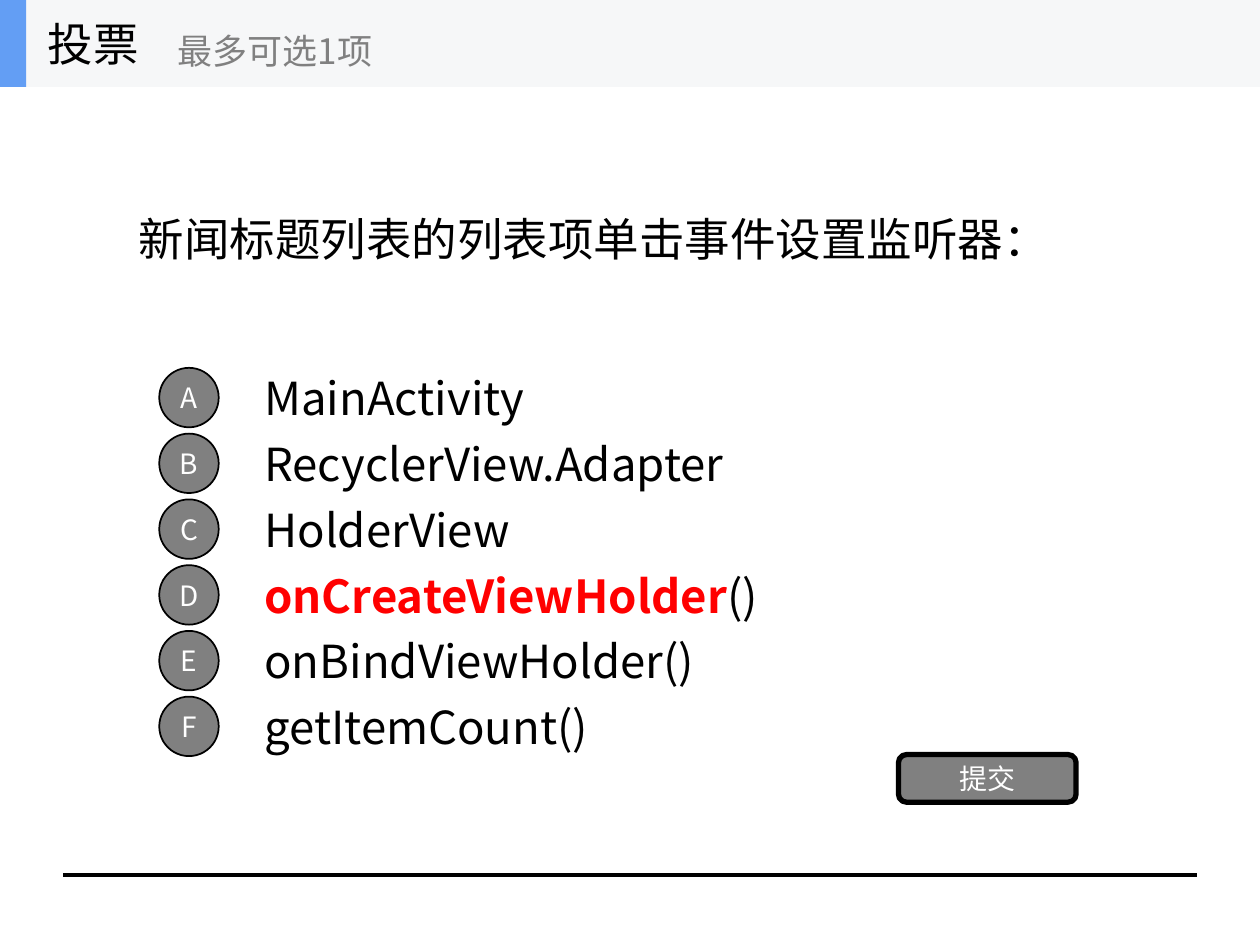
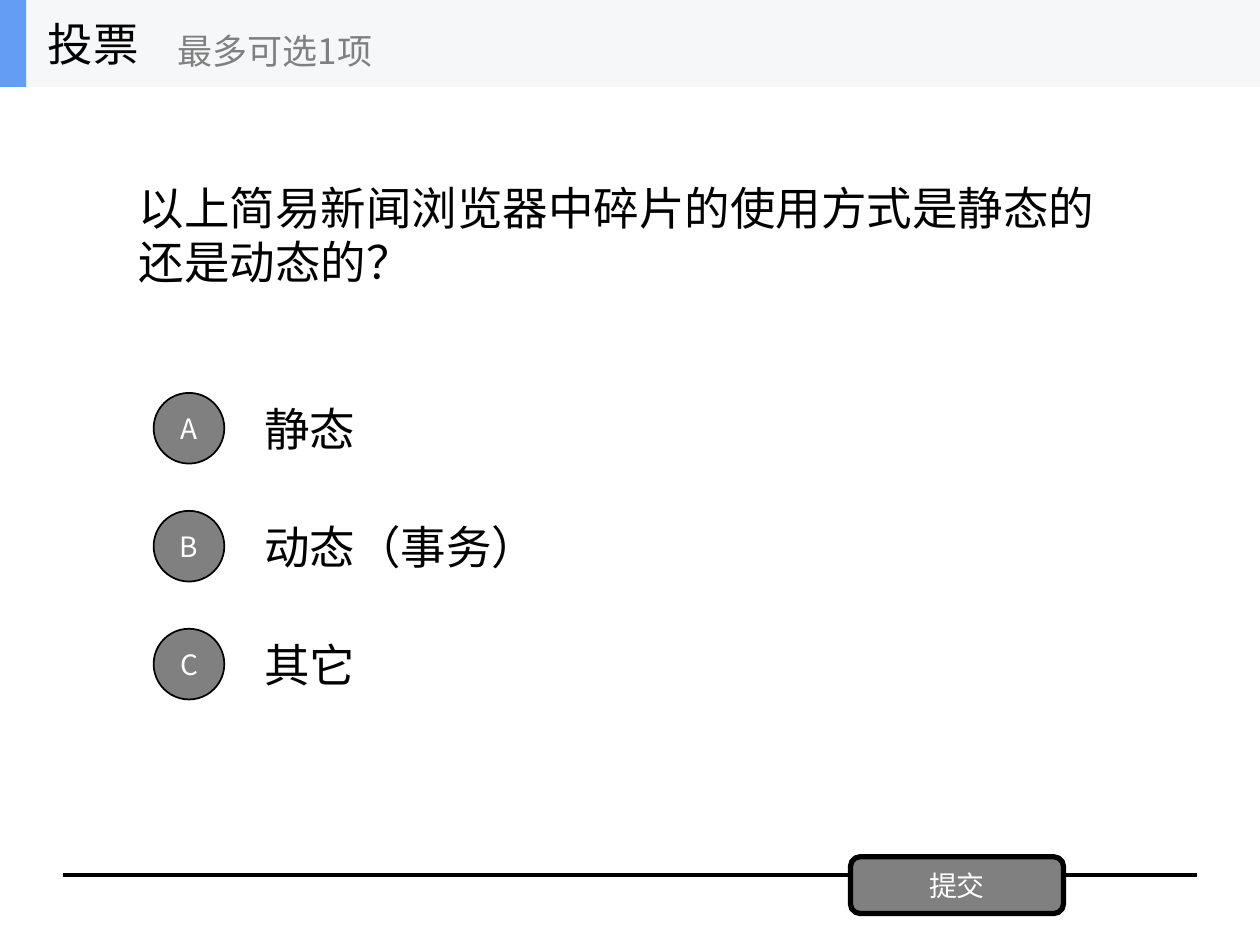
from dataclasses import dataclass

import pptx
import pptx.dml.color
import pptx.enum.shapes
import pptx.enum.text
import pptx.oxml
import pptx.oxml.ns
import pptx.util
from lxml import etree

Pt = pptx.util.Pt
SHAPE = pptx.enum.shapes.MSO_SHAPE
ALIGN = pptx.enum.text.PP_ALIGN
TITLE_ONLY_LAYOUT = 5


@dataclass(frozen=True)
class Theme:
    font: str = "Noto Sans CJK SC"
    ink: str = "000000"
    paper: str = "FFFFFF"
    grey: str = "808080"
    band: str = "F6F7F8"
    accent: str = "639EF4"
    answer: str = "FF0000"
    main_size: int = 26
    hint_size: int = 20
    label_size: int = 16


THEME = Theme()
SLIDE_WIDTH, SLIDE_HEIGHT = 720, 540
BAND_HEIGHT = 49.7
BADGE_CENTRE = 108

POLLS = [
    {
        "question": "新闻标题列表的列表项单击事件设置监听器：",
        "question_at": (72, 95, 576, 82.8),
        "options": [
            [("MainActivity", {})],
            [("RecyclerView.Adapter", {})],
            [("HolderView", {})],
            [("onCreateViewHolder", {"color": THEME.answer, "bold": True}), ("()", {})],
            [("onBindViewHolder()", {})],
            [("getItemCount()", {})],
        ],
        "first_top": 206, "pitch": 37.58, "row_height": 42.4, "badge": 34,
        "button_at": (513.4, 431.2, 101.5, 27.2),
    },
    {
        "question": "以上简易新闻浏览器中碎片的使用方式是静态的还是动态的？",
        "question_at": (72, 49.7, 576, 168.5),
        "options": [[("静态", {})], [("动态（事务）", {})], [("其它", {})]],
        "first_top": 219.5, "pitch": 67.4, "row_height": 50.4, "badge": 40.4,
        "button_at": (486, 489.6, 121.7, 32.4),
    },
]


def rgb(value):
    return pptx.dml.color.RGBColor.from_string(value)


def points(box):
    return [Pt(length) for length in box]


def set_all(target, formats):
    for name, value in formats.items():
        setattr(target, name, value)


def write(shape, spans, size, color=THEME.ink, align=ALIGN.LEFT, margin=7.2):
    """Fill a shape with one paragraph of (text, overrides) spans."""
    frame = shape.text_frame
    set_all(frame, {
        "word_wrap": True,
        "auto_size": pptx.enum.text.MSO_AUTO_SIZE.NONE,
        "vertical_anchor": pptx.enum.text.MSO_ANCHOR.MIDDLE,
        "margin_left": Pt(margin),
        "margin_right": Pt(margin),
        "margin_top": Pt(margin / 2),
        "margin_bottom": Pt(margin / 2),
    })
    para = frame.paragraphs[0]
    para.alignment = align
    for text, overrides in spans:
        span = para.add_run()
        span.text = text
        set_all(span.font, {
            "name": THEME.font,
            "size": Pt(size),
            "bold": overrides.get("bold", False),
        })
        span.font.color.rgb = rgb(overrides.get("color", color))
        east_asian = etree.SubElement(span.font._element, pptx.oxml.ns.qn("a:ea"))
        east_asian.set("typeface", THEME.font)


def add_text(shapes, box, spans, size, color=THEME.ink):
    write(shapes.add_textbox(*points(box)), spans, size, color)


def add_block(shapes, kind, box, fill, line_width=0):
    block = shapes.add_shape(kind, *points(box))
    block.shadow.inherit = False
    block.fill.solid()
    block.fill.fore_color.rgb = rgb(fill)
    if line_width:
        block.line.color.rgb = rgb(THEME.ink)
        block.line.width = Pt(line_width)
    else:
        block.line.fill.background()
    return block


def add_label(shapes, kind, box, text, line_width):
    """Grey outlined shape with small white centred text."""
    block = add_block(shapes, kind, box, THEME.grey, line_width)
    write(block, [(text, {})], THEME.label_size, THEME.paper, ALIGN.CENTER, margin=0)


def add_header(page):
    header = page.shapes.add_group_shape().shapes
    add_block(header, SHAPE.RECTANGLE, (0, 0, SLIDE_WIDTH, BAND_HEIGHT), THEME.band)
    add_block(header, SHAPE.RECTANGLE, (0, 0, 15, BAND_HEIGHT), THEME.accent)
    add_text(header, (20.2, 0, 150, BAND_HEIGHT), [("投票", {})], THEME.main_size)
    add_text(header, (94.3, 8.8, 180, 40.3), [("最多可选1项", {})],
             THEME.hint_size, THEME.grey)


def add_footer_rule(page):
    rule = page.shapes.add_connector(
        pptx.enum.shapes.MSO_CONNECTOR.STRAIGHT, *points((36, 500.2, 684, 500.2)))
    rule.line.color.rgb = rgb(THEME.ink)
    rule.line.width = Pt(2.25)
    etree.SubElement(rule._element.spPr, pptx.oxml.ns.qn("a:effectLst"))


def add_question(page, text, box):
    title = page.shapes.title
    set_all(title, dict(zip(("left", "top", "width", "height"), points(box))))
    write(title, [(text, {})], THEME.main_size)


def add_options(page, poll):
    """Stack lettered badges, each centred on its option's row."""
    badge, height = poll["badge"], poll["row_height"]
    for index, spans in enumerate(poll["options"]):
        top = poll["first_top"] + index * poll["pitch"]
        add_text(page.shapes, (144, top, 504, height), spans, THEME.main_size)
        badge_box = (BADGE_CENTRE - badge / 2, top + (height - badge) / 2, badge, badge)
        add_label(page.shapes, SHAPE.OVAL, badge_box, "ABCDEF"[index], 1)


def add_poll(deck, poll):
    page = deck.slides.add_slide(deck.slide_layouts[TITLE_ONLY_LAYOUT])
    add_footer_rule(page)
    add_question(page, poll["question"], poll["question_at"])
    add_options(page, poll)
    add_label(page.shapes, SHAPE.ROUNDED_RECTANGLE, poll["button_at"], "提交", 3)
    add_header(page)


def main():
    deck = pptx.Presentation()
    deck.slide_width, deck.slide_height = points((SLIDE_WIDTH, SLIDE_HEIGHT))
    for poll in POLLS:
        add_poll(deck, poll)
    deck.save("out.pptx")


if __name__ == "__main__":
    main()
